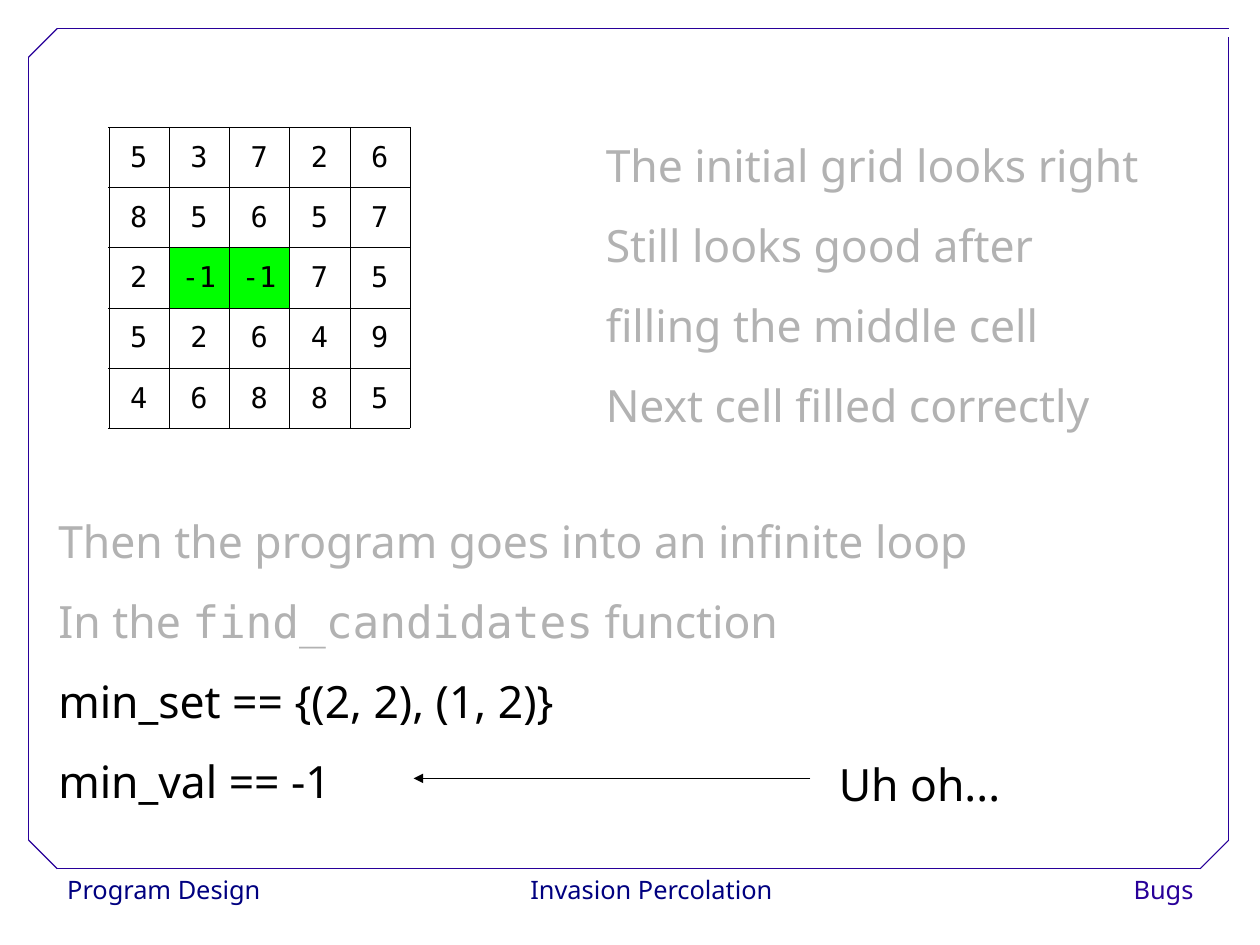
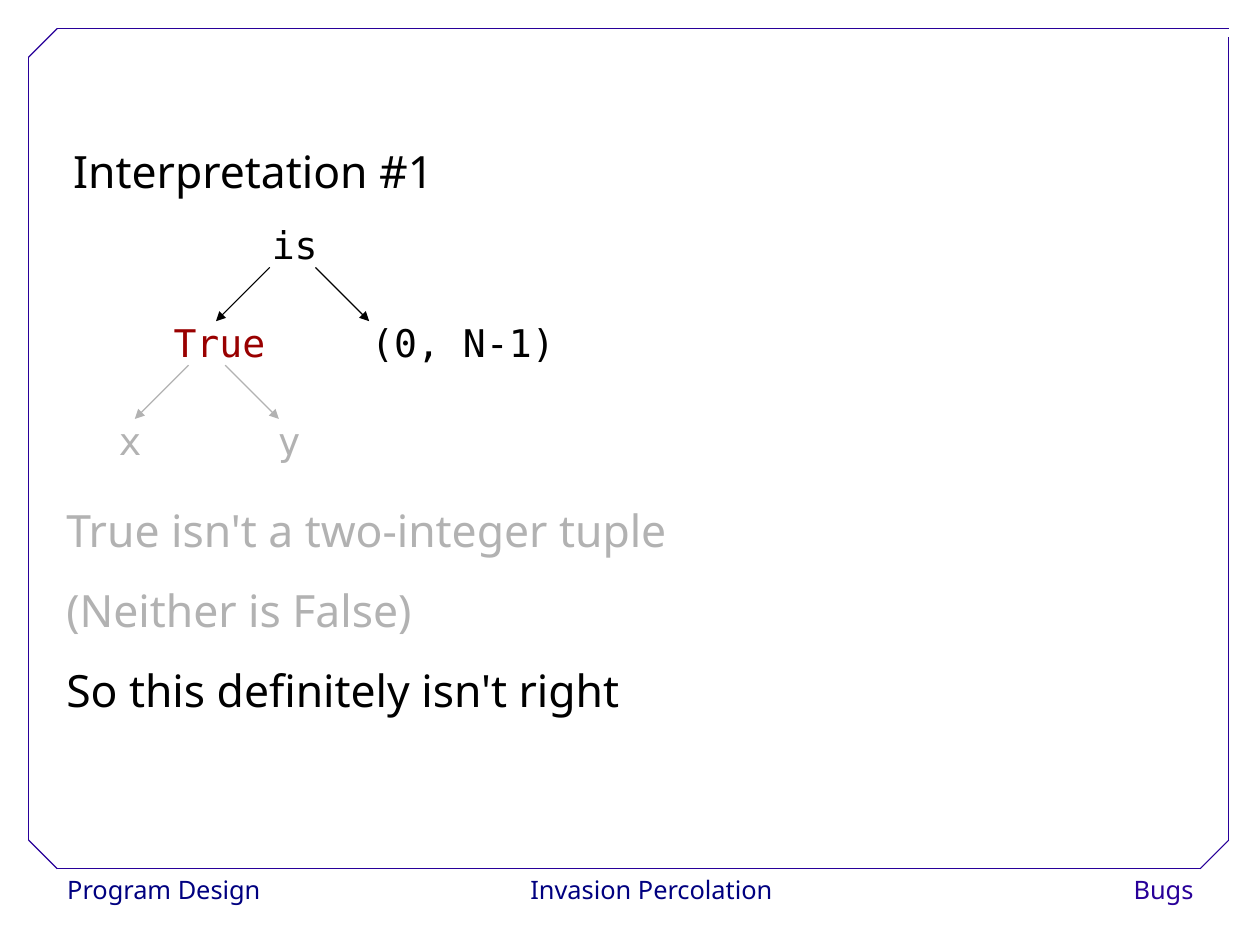
import lxml.etree
import pptx
import pptx.dml.color
import pptx.enum.shapes
import pptx.enum.text
import pptx.oxml.ns
import pptx.util

colour = pptx.dml.color.RGBColor.from_string
name = pptx.oxml.ns.qn
align = pptx.enum.text.PP_ALIGN
anchor = pptx.enum.text.MSO_ANCHOR

SANS, MONO = "Noto Sans", "DejaVu Sans Mono"
BLACK, GREY, WHITE, GREEN, RED = "000000", "B2B2B2", "FFFFFF", "00FF00", "990000"
NAVY, VIOLET = "000080", "280099"
CELL = pptx.util.Inches(0.25)


def write(frame, paragraphs, size=28, spacing=1.5, alignment=align.LEFT, wrap=True):
    frame.auto_size = pptx.enum.text.MSO_AUTO_SIZE.NONE
    frame.word_wrap = wrap
    for number, runs in enumerate(paragraphs):
        para = frame.add_paragraph() if number else frame.paragraphs[0]
        properties = para._p.get_or_add_pPr()
        properties.set("marL", "0")
        properties.set("indent", "0")
        lxml.etree.SubElement(properties, name("a:buNone"))
        para.alignment = alignment
        para.line_spacing = spacing
        para.space_before = pptx.util.Pt(0)
        for text, tint, font in runs:
            span = para.add_run()
            span.text = text
            span.font.size = pptx.util.Pt(size)
            span.font.name = font
            span.font.color.rgb = colour(tint)


def connect(page, ends, tint, arrow=True):
    line = page.shapes.add_connector(
        pptx.enum.shapes.MSO_CONNECTOR.STRAIGHT, *[round(end * CELL) for end in ends])
    line.line.color.rgb = colour(tint)
    line.line.width = pptx.util.Pt(0.75)
    properties = line.element.spPr
    if arrow:
        lxml.etree.SubElement(properties.find(name("a:ln")), name("a:tailEnd"), type="triangle")
    lxml.etree.SubElement(properties, name("a:effectLst"))
    return line


deck = pptx.Presentation()
deck.slide_width = pptx.util.Cm(28)
deck.slide_height = pptx.util.Cm(21)
grid_page = deck.slides.add_slide(deck.slide_layouts[3])
tree_page = deck.slides.add_slide(deck.slide_layouts[1])

shared = []
for text, left, width, tint, alignment in (
    ("Program Design", 1.96, 7.2, NAVY, align.LEFT),
    ("Invasion Percolation", 18.32, 8.96, NAVY, align.CENTER),
    ("Bugs", 36.56, 5.6, VIOLET, align.RIGHT),
):
    box = grid_page.shapes.add_shape(
        pptx.enum.shapes.MSO_SHAPE.RECTANGLE,
        *[round(value * CELL) for value in (left, 30.36, width, 1.6)])
    box.shadow.inherit = False
    box.fill.solid()
    box.fill.fore_color.rgb = colour(WHITE)
    box.line.fill.background()
    box.text_frame.vertical_anchor = anchor.TOP
    write(box.text_frame, [[(text, tint, SANS)]], 16, 1.02, alignment, False)
    shared.append(box)

for ends in (
    (2, 30.4, 42, 30.4), (1, 29.4, 1, 2), (2, 1, 43, 1), (43, 29.4, 43, 1.3),
    (1, 2, 2, 1), (42, 30.4, 43, 29.4), (1, 29.4, 2, 30.4),
):
    shared.append(connect(grid_page, ends, VIOLET, False))

for number, shape in enumerate(shared, 100):
    next(shape.element.iter(name("p:cNvPr"))).set("id", str(number))
    deck.slide_master.shapes.element.append(shape.element)

title = grid_page.shapes.title.element
title.getparent().remove(title)

rows = ((5, 3, 7, 2, 6), (8, 5, 6, 5, 7), (2, -1, -1, 7, 5), (5, 2, 6, 4, 9), (4, 6, 8, 8, 5))
table = grid_page.shapes.add_table(
    5, 5, *[round(value * CELL) for value in (3.8, 4.44, 10.55, 10.55)]).table
table.first_row = False
table.horz_banding = False
for row, values in enumerate(rows):
    for column, value in enumerate(values):
        box = table.cell(row, column)
        box.vertical_anchor = anchor.MIDDLE
        box.margin_left = box.margin_right = pptx.util.Inches(0.1)
        write(box.text_frame, [[(str(value), BLACK, MONO)]], 18, 1.02, align.CENTER)
        properties = box._tc.get_or_add_tcPr()
        for side in ("a:lnL", "a:lnR", "a:lnT", "a:lnB"):
            border = lxml.etree.SubElement(properties, name(side), w="762")
            fill = lxml.etree.SubElement(border, name("a:solidFill"))
            lxml.etree.SubElement(fill, name("a:srgbClr"), val=BLACK)
        if value < 0:
            box.fill.solid()
            box.fill.fore_color.rgb = colour(GREEN)
        else:
            box.fill.background()

findings = [
    [("The initial grid looks right", GREY, SANS)],
    [("Still looks good after filling the middle cell", GREY, SANS)],
    [("Next cell filled correctly", GREY, SANS)],
]
diagnosis = [
    [("Then the program goes into an infinite loop", GREY, SANS)],
    [("In the ", GREY, SANS), ("find_candidates", GREY, MONO), (" function", GREY, SANS)],
    [("min_set == {(2, 2), (1, 2)}", BLACK, SANS)],
    [("min_val == -1", BLACK, SANS)],
]
conclusion = [
    [("True isn't a two-integer tuple", GREY, SANS)],
    [("(Neither is False)", GREY, SANS)],
    [("So this definitely isn't right", BLACK, SANS)],
]
heading = [[("Interpretation #1", BLACK, SANS)]]
for box, place, paragraphs in (
    (grid_page.placeholders[2], (20.8, 3.68, 19.44, 11.6), findings),
    (grid_page.placeholders[1], (1.64, 16.84, 36.68, 11.6), diagnosis),
    (tree_page.shapes.title, (2.16, 3.92, 17.4, 3.2), heading),
    (tree_page.placeholders[1], (1.92, 16.48, 25.88, 8.8), conclusion),
):
    box.left, box.top, box.width, box.height = [round(value * CELL) for value in place]
    box.text_frame.vertical_anchor = anchor.TOP
    write(box.text_frame, paragraphs)

remark = grid_page.shapes.add_textbox(
    *[round(value * CELL) for value in (28.96, 25.36, 13.76, 3.2)])
write(remark.text_frame, [[("Uh oh...", BLACK, SANS)]])
connect(grid_page, (28.36, 27.24, 14.48, 27.24), BLACK)

levels = [7.16 + 3.42 * level for level in range(3)]
for text, left, level, tint in (
    ("is", 9.12, 0, BLACK), ("True", 5.68, 1, RED), ("(0, N-1)", 12.6, 1, BLACK),
    ("x", 3.76, 2, GREY), ("y", 9.32, 2, GREY),
):
    place = (left, levels[level], 0.8 + 0.8 * len(text), 2.2)
    node = tree_page.shapes.add_textbox(*[round(value * CELL) for value in place])
    write(node.text_frame, [[(text, tint, MONO)]], 24, 1.25, wrap=False)

for left, level, shift, tint in (
    (9.44, 0, -1.88, BLACK), (11.04, 0, 1.88, BLACK),
    (6.6, 1, -1.88, GREY), (7.88, 1, 1.88, GREY),
):
    top = levels[level] + 2.2
    connect(tree_page, (left, top, left + shift, top + 1.88), tint)

deck.save("out.pptx")
